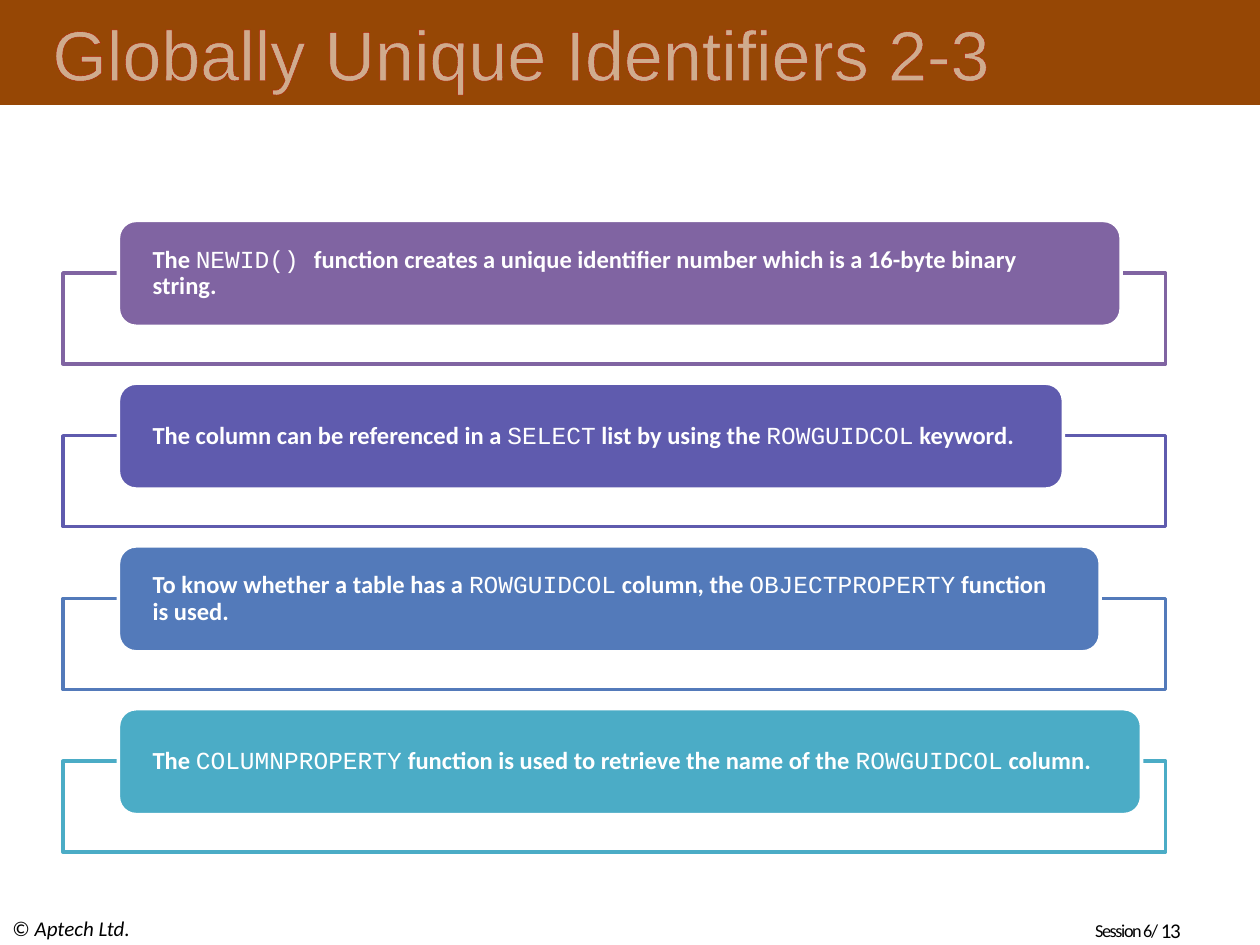
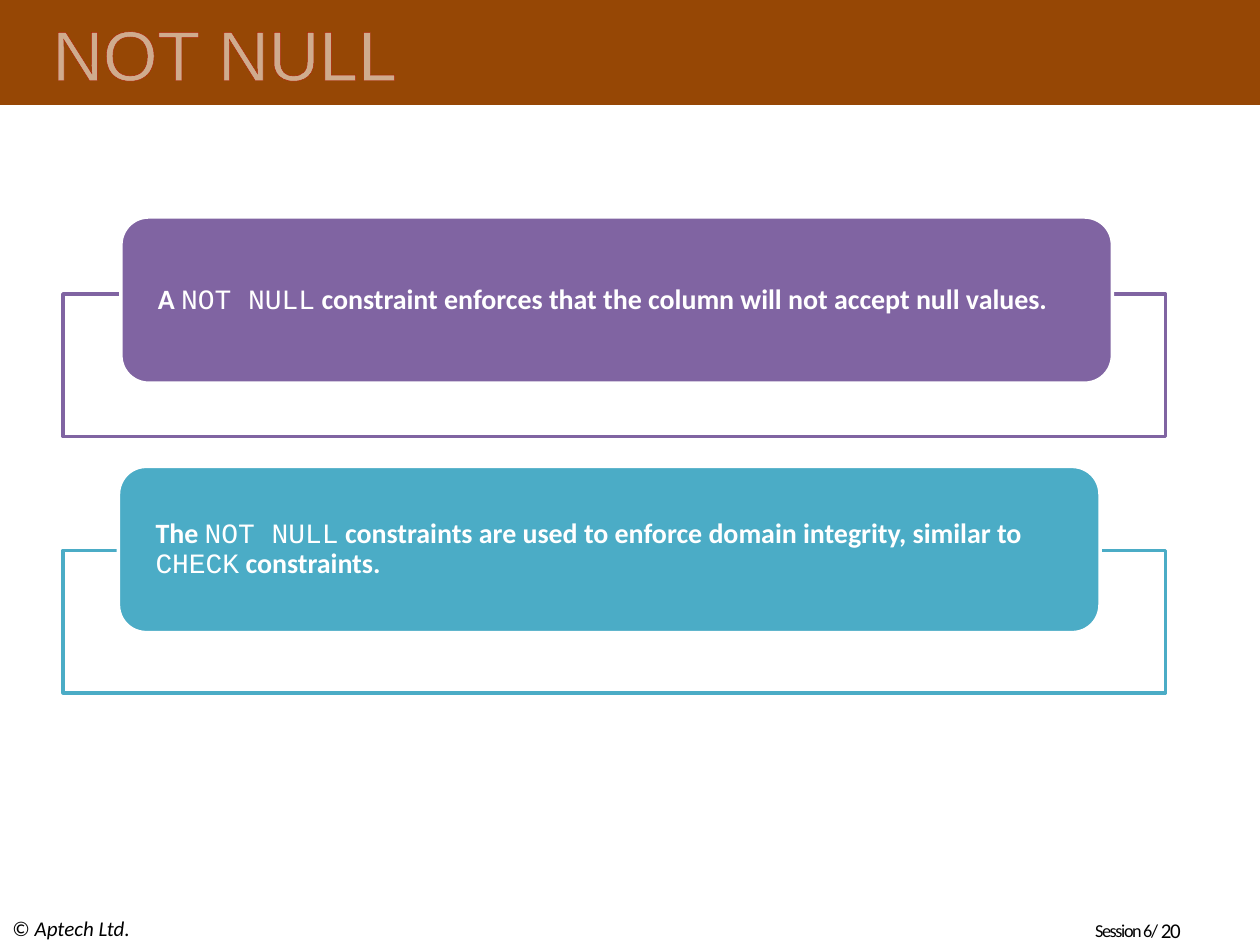
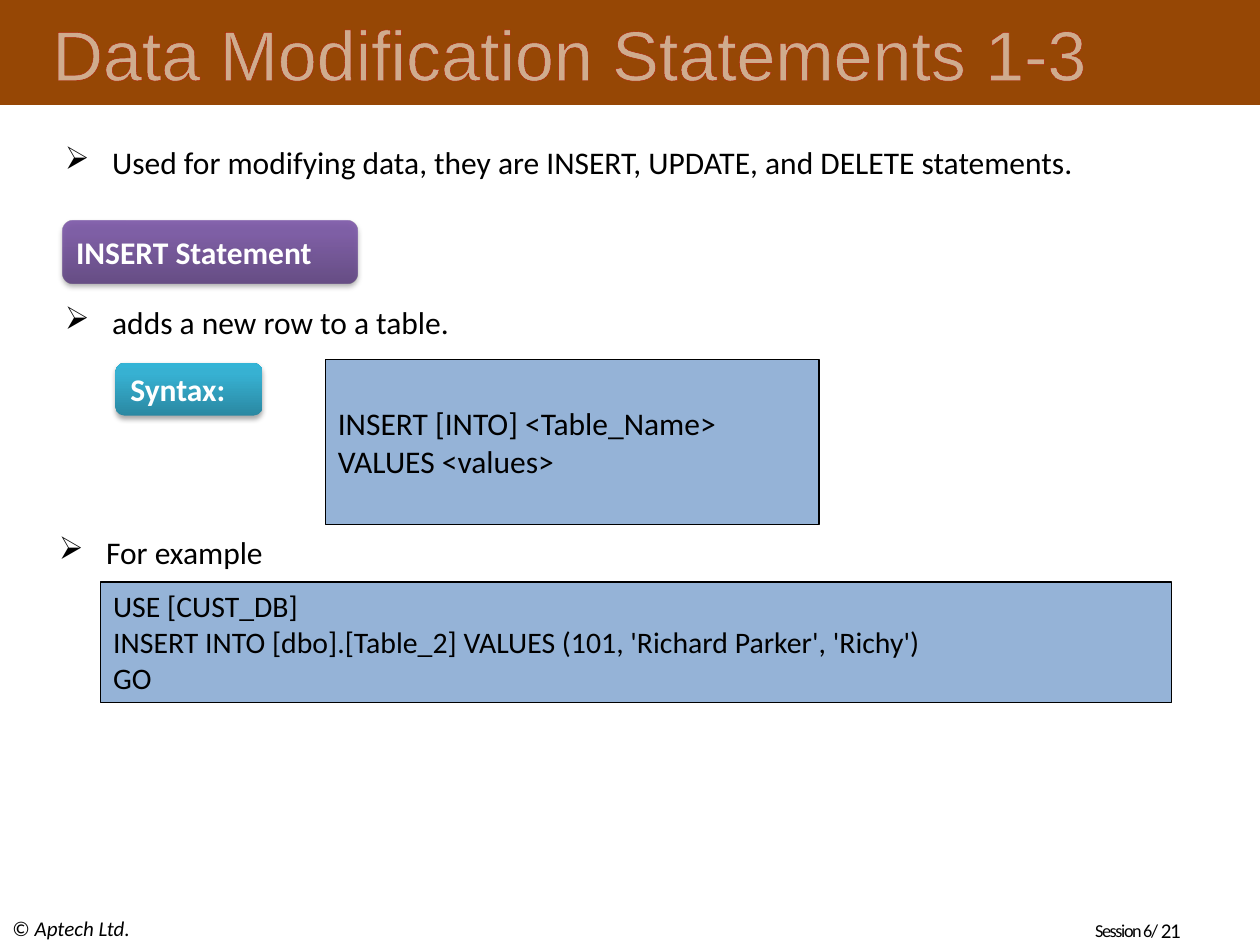
import pptx
import pptx.util
import pptx.dml.color
import pptx.enum.shapes
import pptx.enum.text
import pptx.oxml.ns
from lxml import etree

Pt = pptx.util.Pt
qn = pptx.oxml.ns.qn
SHAPE = pptx.enum.shapes.MSO_SHAPE
ANCHOR = pptx.enum.text.MSO_ANCHOR
ALIGN = pptx.enum.text.PP_ALIGN

COLOURS = {
    "band": "964705", "white": "FFFFFF", "black": "000000", "title edge": "C00000",
    "purple": "8064A2", "indigo": "5F5BAE", "blue": "537ABA", "teal": "4BACC6",
    "code": "95B3D7",
}
PURPLE_GLOSS = [(0, "5F4480"), (80, "7B58A6"), (100, "7C57A8")]
TEAL_GLOSS = [(0, "2A88A2"), (80, "37B1D2"), (100, "34B4D6")]
BODY, CODE, HEADING = "Calibri", "Courier New", "Arial"

GUID_CARDS = [
    ("purple", (67.7, 573), "The `NEWID() `function creates a unique identifier number which is a "
                            "16-byte binary string."),
    ("indigo", (67.7, 540), "The column can be referenced in a `SELECT` list by using the "
                            "`ROWGUIDCOL` keyword."),
    ("blue", (67.7, 561), "To know whether a table has a `ROWGUIDCOL` column, the "
                          "`OBJECTPROPERTY` function is used."),
    ("teal", (67.7, 584.6), "The `COLUMNPROPERTY` function is used to retrieve the name of the "
                            "`ROWGUIDCOL` column."),
]
NOT_NULL_CARDS = [
    ("purple", (69.1, 566.6), "A `NOT NULL` constraint enforces that the column will not accept "
                              "null values."),
    ("teal", (67.7, 560.9), "The `NOT NULL` constraints are used to enforce domain integrity, "
                            "similar to `CHECK` constraints."),
]


def rgb(name):
    """Return the named colour."""
    return pptx.dml.color.RGBColor.from_string(COLOURS[name])


def add_colour(parent, value, opacity=100):
    """Append a colour element with an opacity in percent."""
    colour = etree.SubElement(parent, qn("a:srgbClr"), val=value)
    if opacity < 100:
        etree.SubElement(colour, qn("a:alpha"), val=str(opacity * 1000))


def style_run(run, size, colour="black", face=BODY, bold=False):
    """Set the font of one run."""
    run.font.size, run.font.name, run.font.bold = Pt(size), face, bold
    run.font.color.rgb = rgb(colour)


def set_frame(frame, insets=(7.2, 3.6, 7.2, 3.6), anchor=ANCHOR.TOP):
    """Set wrapping, insets and anchor of a text frame."""
    frame.word_wrap = True
    frame.vertical_anchor = anchor
    frame.margin_left, frame.margin_top, frame.margin_right, frame.margin_bottom = map(Pt, insets)


def add_text(slide, box, insets=(7.2, 3.6, 7.2, 3.6), anchor=ANCHOR.TOP):
    """Add a text box and return its first paragraph."""
    frame = slide.shapes.add_textbox(*map(Pt, box)).text_frame
    set_frame(frame, insets, anchor)
    return frame.paragraphs[0]


def add_block(slide, kind, box, fill=None, line=None, width=2):
    """Add a preset shape with a plain fill and outline."""
    block = slide.shapes.add_shape(kind, *map(Pt, box))
    block.shadow.inherit = False
    if fill:
        block.fill.solid()
        block.fill.fore_color.rgb = rgb(fill)
    else:
        block.fill.background()
    if line:
        block.line.color.rgb = rgb(line)
        block.line.width = Pt(width)
    else:
        block.line.fill.background()
    return block


def add_heading(slide, box, title):
    """Draw the top band and the outlined title on it."""
    left, top, width, height = box
    add_block(slide, SHAPE.RECTANGLE, box, "band")
    heading = add_text(slide, (left + 30, top + 6, width - 120, height - 12), (0, 0, 0, 0))
    heading.text = title
    run = heading.runs[0]
    style_run(run, 40, "white", HEADING)
    edge = etree.Element(qn("a:ln"), w="889")
    add_colour(etree.SubElement(edge, qn("a:solidFill")), COLOURS["title edge"], 55)
    run.font._element.insert(0, edge)


def add_footer(slide, box, number):
    """Write the copyright line and the session and page number."""
    left, top, width, height = box
    owner = add_text(slide, (left, top + 3.6, 240, height - 3.6), anchor=ANCHOR.MIDDLE)
    for words, slanted in (("© ", False), ("Aptech Ltd.", True)):
        run = owner.add_run()
        run.text = words
        style_run(run, 12)
        run.font.italic = slanted
    page = add_text(slide, (left + width - 95, top, 70, 16), (0, 1.44, 0, 0))
    page._p.get_or_add_pPr().set("marL", str(Pt(0.7)))
    for words, size, baseline, spacing in (("Session 6/ ", 18, 5000, -80), (str(number), 12, 0, -70)):
        run = page.add_run()
        run.text = words
        style_run(run, size)
        run.font._element.set("baseline", str(baseline))
        run.font._element.set("spc", str(spacing))


def add_card(slide, frame, card, colour, sentence, size):
    """Draw a framed card; backticks in the sentence mark code."""
    add_block(slide, SHAPE.RECTANGLE, frame, line=colour)
    plate = add_block(slide, SHAPE.ROUNDED_RECTANGLE, card, colour, "white")
    set_frame(plate.text_frame, (16.56, 0, 16.56, 0), ANCHOR.MIDDLE)
    paragraph = plate.text_frame.paragraphs[0]
    paragraph.alignment = ALIGN.LEFT
    paragraph.line_spacing = 0.9
    for index, words in enumerate(sentence.split("`")):
        is_code = index % 2 == 1
        run = paragraph.add_run()
        run.text = words
        style_run(run, size, "white", CODE if is_code else BODY, not is_code)


def add_cards(slide, box, cards, pitch, frame_height, card_height, rises, size):
    """Stack framed cards at an equal pitch, each raised above its frame."""
    left, top, width = box
    for index, ((colour, (card_left, card_width), sentence), rise) in enumerate(zip(cards, rises)):
        frame_top = top + index * pitch
        add_card(slide, (left, frame_top, width, frame_height),
                 (card_left, frame_top - rise, card_width, card_height), colour, sentence, size)


def add_bullet(slide, box, sentence):
    """Write one arrow-bulleted line."""
    paragraph = add_text(slide, box)
    paragraph.text = sentence
    properties = paragraph._p.get_or_add_pPr()
    properties.set("marL", str(Pt(27)))
    properties.set("indent", str(Pt(-27)))
    etree.SubElement(properties, qn("a:buChar"), char="➢")
    style_run(paragraph.runs[0], 18)


def add_label(slide, box, words, gloss, inset, opacity=100):
    """Draw a glossy rounded label with a soft shadow."""
    label = add_block(slide, SHAPE.ROUNDED_RECTANGLE, box)
    label.fill.gradient()
    label.fill.gradient_angle = 90
    properties = label._element.spPr
    stops = properties.find(qn("a:gradFill")).find(qn("a:gsLst"))
    for stop in list(stops):
        stops.remove(stop)
    for position, value in gloss:
        add_colour(etree.SubElement(stops, qn("a:gs"), pos=str(position * 1000)), value, opacity)
    shadow = etree.SubElement(properties.find(qn("a:effectLst")), qn("a:outerShdw"),
                              blurRad=str(Pt(3.1)), dist=str(Pt(1.8)), dir="5400000", rotWithShape="0")
    add_colour(shadow, COLOURS["black"], 35)
    set_frame(label.text_frame, (inset, 3.6, inset, 3.6), ANCHOR.MIDDLE)
    label.text_frame.text = words
    paragraph = label.text_frame.paragraphs[0]
    paragraph.alignment = ALIGN.LEFT
    style_run(paragraph.runs[0], 18, "white", bold=True)


def add_code(slide, box, lines, size, top_inset=3.6):
    """Draw a code panel with one paragraph for each line."""
    panel = add_block(slide, SHAPE.RECTANGLE, box, "code", "black", 0.75)
    set_frame(panel.text_frame, (7.2, top_inset, 7.2, 3.6))
    panel.text_frame.text = "\n".join(lines)
    for paragraph in panel.text_frame.paragraphs:
        paragraph.alignment = ALIGN.LEFT
        style_run(paragraph.runs[0], size)


def add_insert_lesson(slide, box):
    """Lay out the INSERT statement with its syntax and example."""
    left, top, width = box
    add_bullet(slide, (left, top, width, 29), "Used for modifying data, they are INSERT, UPDATE, "
                                              "and DELETE statements.")
    add_label(slide, (left + 6, top + 48, 168, 36), "INSERT Statement", PURPLE_GLOSS, 5.76, 90)
    add_bullet(slide, (left, top + 91.5, width, 29), "adds a new row to a table.")
    add_label(slide, (left + 36, top + 129.5, 84, 30), "Syntax:", TEAL_GLOSS, 7.2)
    add_code(slide, (left + 156, top + 127.5, 282, 94.3),
             ["INSERT [INTO] <Table_Name>", "VALUES <values>"], 18, 25.6)
    add_bullet(slide, (left - 3.5, top + 223, width, 51), "For example")
    add_code(slide, (left + 27.6, top + 254.6, 612, 69),
             ["USE [CUST_DB]",
              "INSERT INTO [dbo].[Table_2] VALUES (101, 'Richard Parker', 'Richy')",
              "GO"], 17)


def add_page(deck, title, number):
    """Add a slide with the shared heading and footer."""
    slide = deck.slides.add_slide(deck.slide_layouts[6])
    add_heading(slide, (0, 0, 720, 60), title)
    add_footer(slide, (0, 517, 720, 23), number)
    return slide


def main():
    """Build the three slides and save them."""
    deck = pptx.Presentation()
    deck.slide_width, deck.slide_height = Pt(720), Pt(540)
    guid = add_page(deck, "Globally Unique Identifiers 2-3", 13)
    add_cards(guid, (36, 156, 630), GUID_CARDS, 93, 52, 60.5, [30] * 4, 14)
    not_null = add_page(deck, "NOT NULL", 20)
    add_cards(not_null, (36, 168, 630), NOT_NULL_CARDS, 146.5, 81.4, 95, [44, 48], 16)
    modification = add_page(deck, "Data Modification Statements 1-3", 21)
    add_insert_lesson(modification, (30, 78, 660))
    deck.save("out.pptx")


if __name__ == "__main__":
    main()
